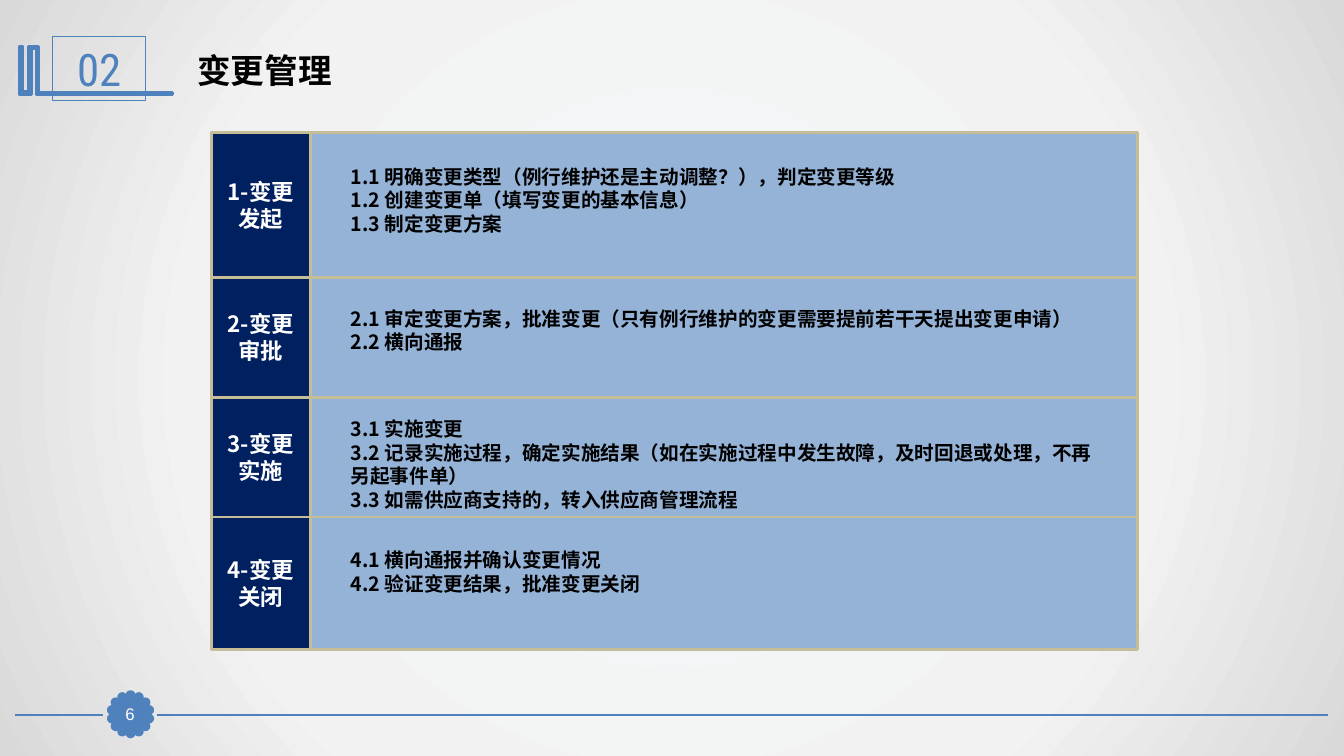
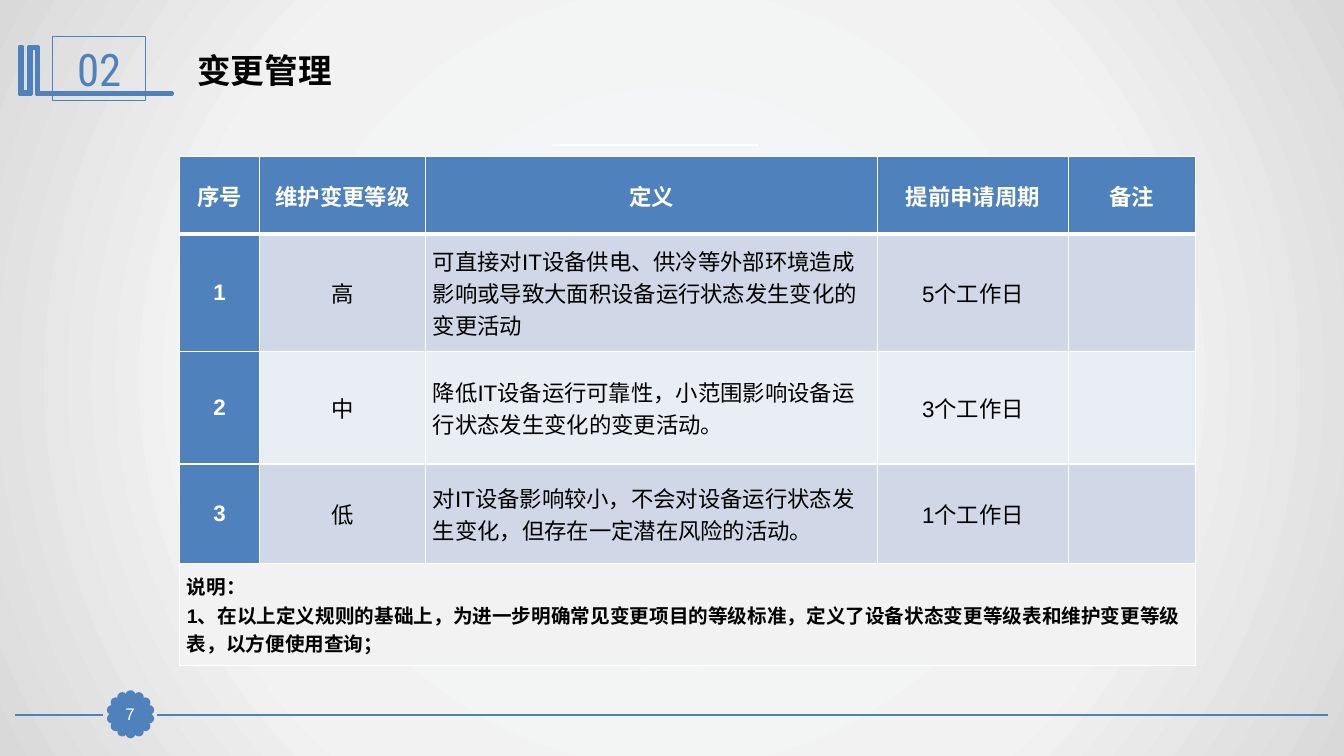
import math

from lxml import etree
from pptx import Presentation
from pptx import util as u
from pptx.dml.color import RGBColor
from pptx.enum import shapes, text
from pptx.oxml import parse_xml
from pptx.oxml.ns import nsdecls, qn

COLOURS = {
    "accent": "4F81BD",
    "navy": "002060",
    "panel": "95B3D7",
    "sand": "C4BD97",
    "white": "FFFFFF",
    "black": "000000",
    "band_dark": "D0D8E8",
    "band_light": "E9EDF4",
    "note": "F2F2F2",
    "glow": "F6F9FC",
    "edge": "D9D9D9",
}
CJK_FONT = "Noto Sans CJK SC"
CENTER = text.PP_ALIGN.CENTER
MIDDLE = text.MSO_ANCHOR.MIDDLE
RECTANGLE = shapes.MSO_SHAPE.RECTANGLE
STRAIGHT = shapes.MSO_CONNECTOR.STRAIGHT


def style(shape, line, weight, fill=None):
    shape.line.color.rgb = RGBColor.from_string(COLOURS[line])
    shape.line.width = u.Pt(weight)
    if fill:
        shape.fill.solid()
        shape.fill.fore_color.rgb = RGBColor.from_string(COLOURS[fill])
    etree.SubElement(shape.element.spPr, qn("a:effectLst"))


def write(paragraph, content, size, colour, bold=False, font="Arial", align=None):
    paragraph.alignment = align
    run = paragraph.add_run()
    run.text = content
    run.font.size = u.Pt(size)
    run.font.bold = bold
    run.font.color.rgb = RGBColor.from_string(COLOURS[colour])
    run.font.name = font
    east_asian = etree.SubElement(run.font._element, qn("a:ea"))
    east_asian.set("typeface", CJK_FONT)


presentation = Presentation()
presentation.slide_width = u.Cm(33.87)
presentation.slide_height = u.Cm(19.05)
layout = presentation.slide_layouts[5]
process_slide = presentation.slides.add_slide(layout)
levels_slide = presentation.slides.add_slide(layout)

layout.background.fill.solid()
solid = next(layout.element.iter(qn("a:solidFill")))
stops = "".join(
    f'<a:gs pos="{position}"><a:srgbClr val="{COLOURS[name]}"/></a:gs>'
    for position, name in ((0, "glow"), (63000, "note"), (100000, "edge"))
)
solid.getparent().replace(solid, parse_xml(
    f'<a:gradFill {nsdecls("a")} rotWithShape="1"><a:gsLst>{stops}</a:gsLst>'
    '<a:path path="circle"><a:fillToRect l="50000" t="50000" r="50000" b="50000"/>'
    '</a:path></a:gradFill>'
))

for start, end in ((33.48, 3.96), (2.59, 0.38)):
    footer_line = process_slide.shapes.add_connector(
        STRAIGHT, u.Cm(start), u.Cm(18.01), u.Cm(end), u.Cm(18.01))
    style(footer_line, "accent", 1.25)

badge = process_slide.shapes.add_group_shape()
petal_count, petal_size, badge_radius = 14, 0.18, 0.48
for index in range(petal_count):
    angle = 2 * math.pi * index / petal_count
    petal = badge.shapes.add_shape(
        shapes.MSO_SHAPE.OVAL,
        u.Cm(3.29 + badge_radius * math.sin(angle) - petal_size / 2),
        u.Cm(18 - badge_radius * math.cos(angle) - petal_size / 2),
        u.Cm(petal_size), u.Cm(petal_size))
    style(petal, "accent", 2, "accent")

outline = [
    (0.94, 1.17), (0.97, 1.17), (0.97, 2.34), (4.34, 2.34), (4.34, 2.39),
    (0.91, 2.39), (0.91, 1.22), (0.79, 1.22), (0.79, 2.39), (0.48, 2.39),
    (0.48, 1.17), (0.58, 1.17), (0.58, 2.31), (0.71, 2.31), (0.71, 1.17),
]
points = [(u.Cm(x), u.Cm(y)) for x, y in outline]
builder = process_slide.shapes.build_freeform(*points[0])
builder.add_line_segments(points[1:], close=True)
style(builder.convert_to_shape(), "accent", 2, "accent")

chapter = process_slide.shapes.add_shape(
    RECTANGLE, u.Cm(1.32), u.Cm(0.91), u.Cm(2.36), u.Cm(1.63))
chapter.fill.background()
style(chapter, "accent", 0.75)
chapter.text_frame.vertical_anchor = MIDDLE
write(chapter.text_frame.paragraphs[0], "02", 32, "accent",
      font="Roboto Condensed", align=CENTER)

for shape in list(process_slide.shapes):
    if not shape.is_placeholder:
        layout.shapes.element.append(shape.element)
for number, properties in enumerate(layout.shapes.element.iter("{*}cNvPr"), 1):
    properties.set("id", str(number))

for page, slide in enumerate(presentation.slides, 6):
    number_box = slide.shapes.add_shape(
        RECTANGLE, u.Cm(2.87), u.Cm(17.6), u.Cm(0.81), u.Cm(0.79))
    style(number_box, "accent", 0.75, "accent")
    frame = number_box.text_frame
    frame.margin_left = frame.margin_right = frame.margin_top = frame.margin_bottom = 0
    frame.vertical_anchor = MIDDLE
    write(frame.paragraphs[0], str(page), 12, "white", align=CENTER)

    title = slide.shapes.title
    title.left, title.top = u.Cm(4.72), u.Cm(1.12)
    title.width, title.height = u.Cm(24.61), u.Cm(1.27)
    title.text_frame.auto_size = text.MSO_AUTO_SIZE.NONE
    title.text_frame.vertical_anchor = text.MSO_ANCHOR.TOP
    write(title.text_frame.paragraphs[0], "变更管理", 24, "black", True,
          align=text.PP_ALIGN.LEFT)

stages = [
    ("1-变更发起", 3.66, 0.69, 18.72, [
        "1.1 明确变更类型（例行维护还是主动调整？），判定变更等级",
        "1.2 创建变更单（填写变更的基本信息）",
        "1.3 制定变更方案"]),
    ("2-变更审批", 3.02, 0.61, 18.72, [
        "2.1 审定变更方案，批准变更（只有例行维护的变更需要提前若干天提出变更申请）",
        "2.2 横向通报"]),
    ("3-变更实施", 3.02, 0.38, 19.58, [
        "3.1 实施变更",
        "3.2 记录实施过程，确定实施结果（如在实施过程中发生故障，及时回退或处理，不再另起事件单）",
        "3.3 如需供应商支持的，转入供应商管理流程"]),
    ("4-变更关闭", 3.33, 0.66, 18.72, [
        "4.1 横向通报并确认变更情况",
        "4.2 验证变更结果，批准变更关闭"]),
]
top = 3.33
for name, height, offset, width, steps in stages:
    for panel_width, fill in ((23.34, "panel"), (2.49, "navy")):
        panel = process_slide.shapes.add_shape(
            RECTANGLE, u.Cm(5.33), u.Cm(top), u.Cm(panel_width), u.Cm(height))
        style(panel, "sand", 2, fill)
    panel.text_frame.vertical_anchor = MIDDLE
    label = panel.text_frame.paragraphs[0]
    label.line_spacing = u.Pt(19.2)
    write(label, name, 16, "white", True, CJK_FONT, CENTER)

    step_box = process_slide.shapes.add_textbox(
        u.Cm(8.59), u.Cm(top + offset), u.Cm(width), u.Cm(height - offset))
    frame = step_box.text_frame
    frame.word_wrap = True
    for index, step in enumerate(steps):
        paragraph = frame.add_paragraph() if index else frame.paragraphs[0]
        paragraph.line_spacing = u.Pt(16.8)
        write(paragraph, step, 14, "black", True, CJK_FONT)
    top += height

accent_line = levels_slide.shapes.add_connector(
    STRAIGHT, u.Cm(13.92), u.Cm(3.66), u.Cm(19.13), u.Cm(3.66))
style(accent_line, "white", 1.5)

rows = [
    ["序号", "维护变更等级", "定义", "提前申请周期", "备注"],
    ["1", "高", "可直接对IT设备供电、供冷等外部环境造成影响或导致大面积设备运行状态发生变化的变更活动", "5个工作日", ""],
    ["2", "中", "降低IT设备运行可靠性，小范围影响设备运行状态发生变化的变更活动。", "3个工作日", ""],
    ["3", "低", "对IT设备影响较小，不会对设备运行状态发生变化，但存在一定潜在风险的活动。", "1个工作日", ""],
    ["说明：\n1、在以上定义规则的基础上，为进一步明确常见变更项目的等级标准，定义了设备状态变更等级表和维护变更等级表，以方便使用查询；", "", "", "", ""],
]
column_widths = [2.03, 4.17, 11.4, 4.8, 3.2]
row_heights = [1.96, 2.95, 2.84, 2.51, 2.57]
note_row = len(rows) - 1
table = levels_slide.shapes.add_table(
    len(rows), len(column_widths), u.Cm(4.52), u.Cm(3.94),
    u.Cm(sum(column_widths)), u.Cm(sum(row_heights))).table
table.first_row = table.horz_banding = False
for column, width in zip(table.columns, column_widths):
    column.width = u.Cm(width)
for row, height in zip(table.rows, row_heights):
    row.height = u.Cm(height)
table.cell(note_row, 0).merge(table.cell(note_row, len(column_widths) - 1))

for r, values in enumerate(rows):
    for c, value in enumerate(values):
        cell = table.cell(r, c)
        heading = r == 0 or (c == 0 and r < note_row)
        cell.margin_left = cell.margin_right = u.Cm(0.19)
        cell.margin_top = cell.margin_bottom = 0
        cell.vertical_anchor = MIDDLE
        for side in "LRTB":
            thick = (r == 0 and side == "B") or (r == 1 and side == "T")
            cell._tc.get_or_add_tcPr().append(parse_xml(
                f'<a:ln{side} {nsdecls("a")} w="{u.Pt(3 if thick else 1)}"><a:solidFill>'
                f'<a:srgbClr val="{COLOURS["white"]}"/></a:solidFill></a:ln{side}>'))
        if heading:
            fill = "accent"
        elif r == note_row:
            fill = "note"
        else:
            fill = "band_dark" if r % 2 else "band_light"
        cell.fill.solid()
        cell.fill.fore_color.rgb = RGBColor.from_string(COLOURS[fill])
        if not value:
            continue
        left_aligned = r == note_row or (c == 2 and not heading)
        for index, line in enumerate(value.split("\n")):
            frame = cell.text_frame
            paragraph = frame.add_paragraph() if index else frame.paragraphs[0]
            write(paragraph, line, 14 if r == note_row else 16,
                  "white" if heading else "black", heading or r == note_row,
                  align=text.PP_ALIGN.LEFT if left_aligned else CENTER)

presentation.save("out.pptx")
